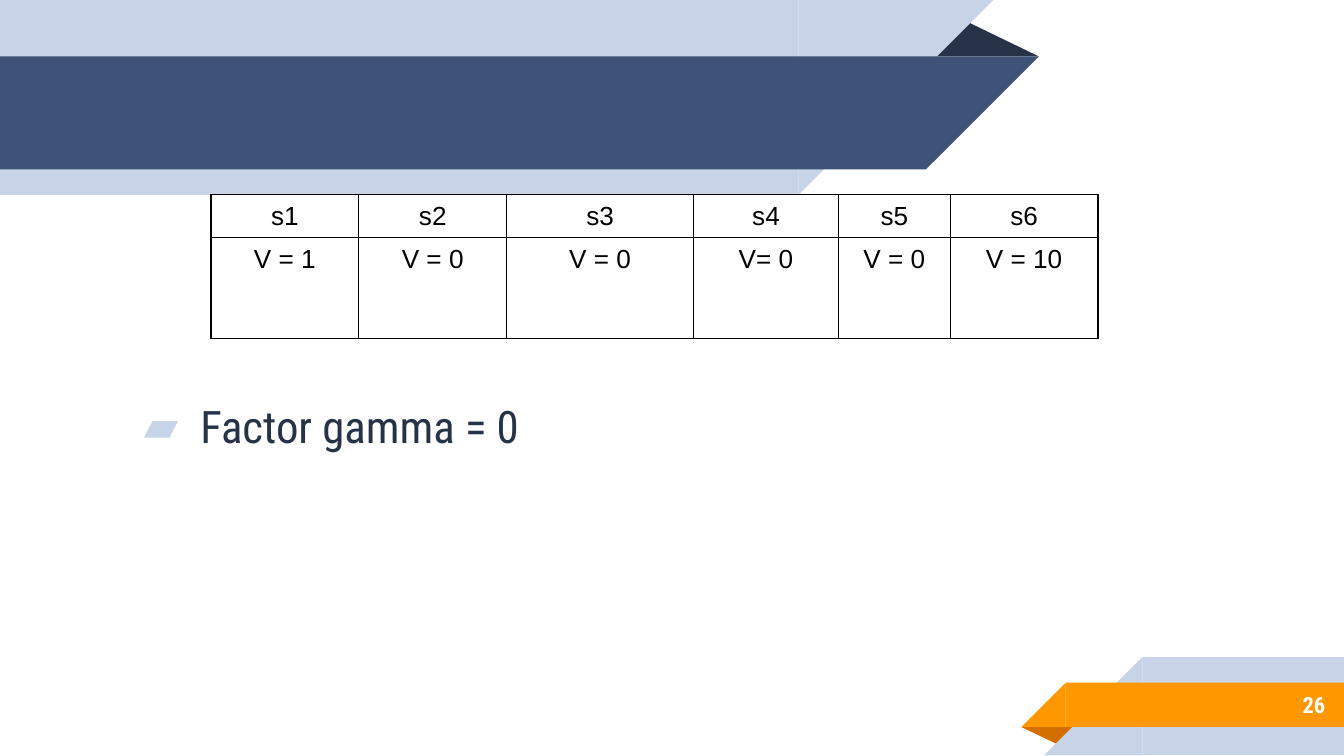
from lxml.etree import SubElement
from pptx import Presentation
from pptx.dml.color import RGBColor
from pptx.enum.shapes import MSO_SHAPE
from pptx.enum.text import MSO_ANCHOR, MSO_AUTO_SIZE, PP_ALIGN
from pptx.oxml.ns import qn
from pptx.util import Inches, Pt

NAVY = "263248"
BLUE = "3F5378"
PALE = "C7D3E6"
ORANGE = "FF9800"
RUST = "D26F00"
HEADING_FONT = "Roboto Condensed"
PAGE_WIDTH = 10
PAGE_HEIGHT = PAGE_WIDTH * 9 / 16


def color(value):
    return RGBColor.from_string(value)


def style_font(font, name, size, fill, bold=False):
    font.name = name
    font.size = Pt(size)
    font.bold = bold
    font.color.rgb = color(fill)


def add_block(page, kind, left, top, width, height, fill, rotation=0, flip=False):
    shape = page.shapes.add_shape(
        kind, Inches(left), Inches(top), Inches(width), Inches(height))
    shape.shadow.inherit = False
    shape.fill.solid()
    shape.fill.fore_color.rgb = color(fill)
    shape.line.fill.background()
    shape.rotation = rotation
    if flip:
        shape._element.spPr.find(qn("a:xfrm")).set("flipH", "1")
    return shape


def add_fold(page, left, top, width, height, fill, rotation=0):
    fold = add_block(page, MSO_SHAPE.ISOSCELES_TRIANGLE, left, top, width, height,
                     fill, rotation)
    fold.adjustments[0] = 0.32


def add_top_ribbon(page, top, width, height, fill):
    add_block(page, MSO_SHAPE.RECTANGLE, 0, top, width, height, fill, 180, True)
    add_block(page, MSO_SHAPE.RIGHT_TRIANGLE, width, top, height, height, fill, 180, True)


def add_bottom_ribbon(page, left, top, height, fill):
    add_block(page, MSO_SHAPE.RECTANGLE, left, top, PAGE_WIDTH - left, height, fill,
              flip=True)
    add_block(page, MSO_SHAPE.RIGHT_TRIANGLE, left - height, top, height, height, fill,
              flip=True)


def prepare_frame(frame):
    frame.word_wrap = True
    frame.auto_size = MSO_AUTO_SIZE.NONE
    frame.vertical_anchor = MSO_ANCHOR.MIDDLE
    frame.margin_left = frame.margin_right = Inches(0.1)
    frame.margin_top = frame.margin_bottom = Inches(0.1)


def fill_body(page, text):
    body = page.placeholders[1]
    body.left, body.top = Inches(0.89), Inches(1.45)
    body.width, body.height = Inches(6.71), Inches(3.44)
    prepare_frame(body.text_frame)
    body.text_frame.text = text
    para = body.text_frame.paragraphs[0]
    properties = para._p.get_or_add_pPr()
    properties.set("marL", str(Inches(0.5)))
    properties.set("indent", str(Inches(-0.42)))
    bullet_color = SubElement(properties, qn("a:buClr"))
    SubElement(bullet_color, qn("a:srgbClr"), val=PALE)
    SubElement(properties, qn("a:buChar"), char="▰")
    para.space_before = Pt(0)
    style_font(para.runs[0].font, HEADING_FONT, 24, NAVY)


def add_page_number(page, number):
    box = page.shapes.add_textbox(Inches(8.33), Inches(5.07), Inches(1.63), Inches(0.35))
    prepare_frame(box.text_frame)
    box.text_frame.text = number
    para = box.text_frame.paragraphs[0]
    para.alignment = PP_ALIGN.RIGHT
    style_font(para.runs[0].font, HEADING_FONT, 12, "FFFFFF", True)


def add_borders(cell):
    properties = cell._tc.get_or_add_tcPr()
    for side in ("lnL", "lnR", "lnT", "lnB"):
        line = SubElement(properties, qn(f"a:{side}"), w=str(Pt(0.75)))
        fill = SubElement(line, qn("a:solidFill"))
        SubElement(fill, qn("a:srgbClr"), val="000000")


def add_state_table(page, rows, widths, heights):
    frame = page.shapes.add_table(
        len(rows), len(widths), Inches(1.57), Inches(1.45),
        Inches(sum(widths)), Inches(1.08))
    table = frame.table
    table.first_row = False
    table.horz_banding = False
    for column, width in zip(table.columns, widths):
        column.width = Inches(width)
    for row, height, values in zip(table.rows, heights, rows):
        row.height = Inches(height)
        for cell, value in zip(row.cells, values):
            cell.text = value
            add_borders(cell)
            cell.fill.background()
            para = cell.text_frame.paragraphs[0]
            para.alignment = PP_ALIGN.CENTER
            style_font(para.runs[0].font, "Arial", 14, "000000")


def main():
    deck = Presentation()
    deck.slide_width, deck.slide_height = Inches(PAGE_WIDTH), Inches(PAGE_HEIGHT)
    page = deck.slides.add_slide(deck.slide_layouts[1])
    title = page.shapes.title._element
    title.getparent().remove(title)

    add_fold(page, 6.88, 0.14, 0.85, 0.28, NAVY)
    add_top_ribbon(page, 0, 5.94, 1.45, PALE)
    add_top_ribbon(page, 0.42, 6.89, 0.84, BLUE)
    add_fold(page, 7.6, 5.41, 0.43, 0.14, RUST, 180)
    add_bottom_ribbon(page, 8.5, 4.89, 0.73, PALE)
    add_bottom_ribbon(page, 7.93, 5.08, 0.33, ORANGE)

    fill_body(page, "Factor gamma = 0")
    add_page_number(page, "26")
    states = [f"s{index}" for index in range(1, 7)]
    values = ["V = 1", "V = 0", "V = 0", "V= 0", "V = 0", "V = 10"]
    add_state_table(page, [states, values], [1.1, 1.1, 1.39, 1.08, 0.83, 1.1], [0.29, 0.75])
    deck.save("out.pptx")


if __name__ == "__main__":
    main()
